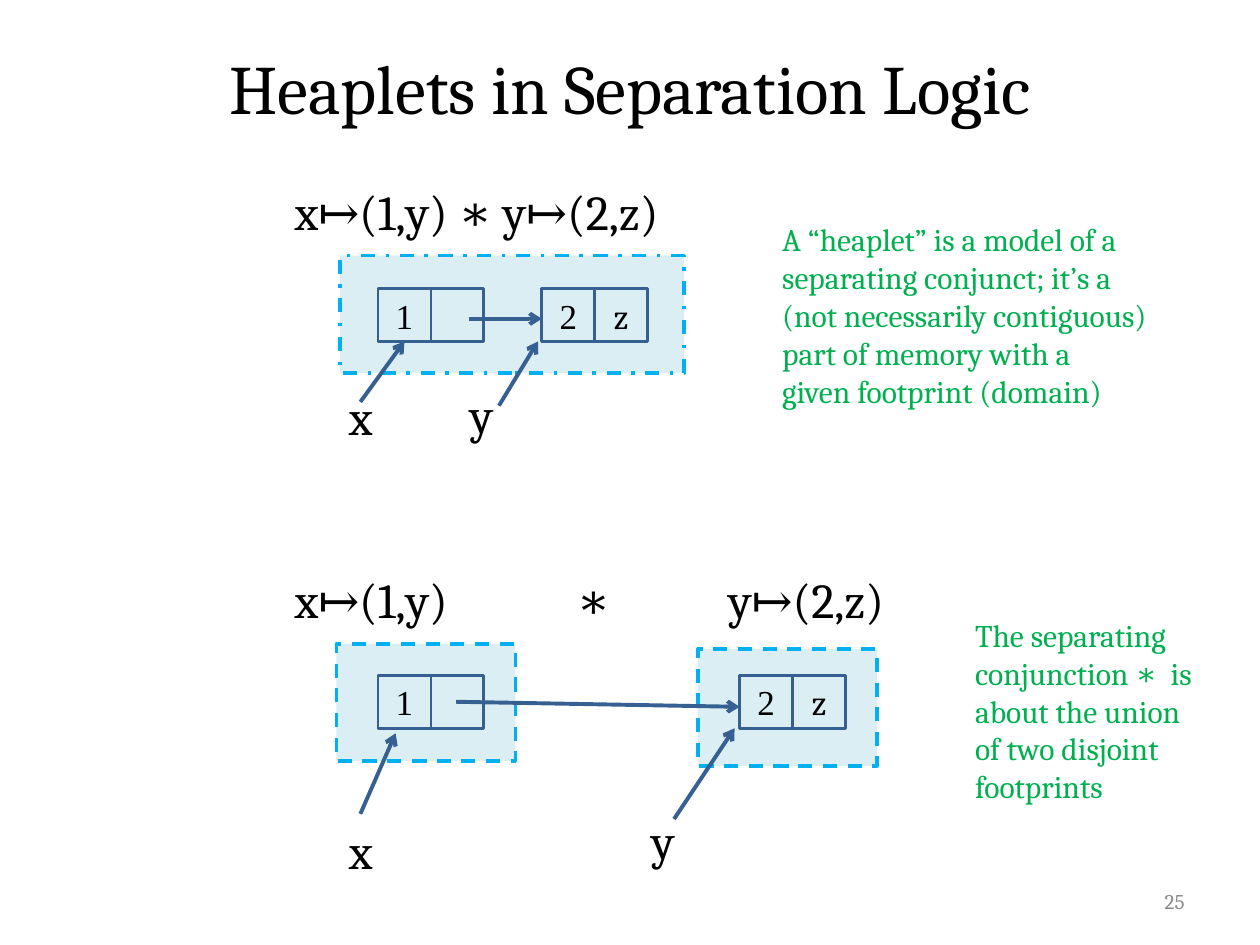
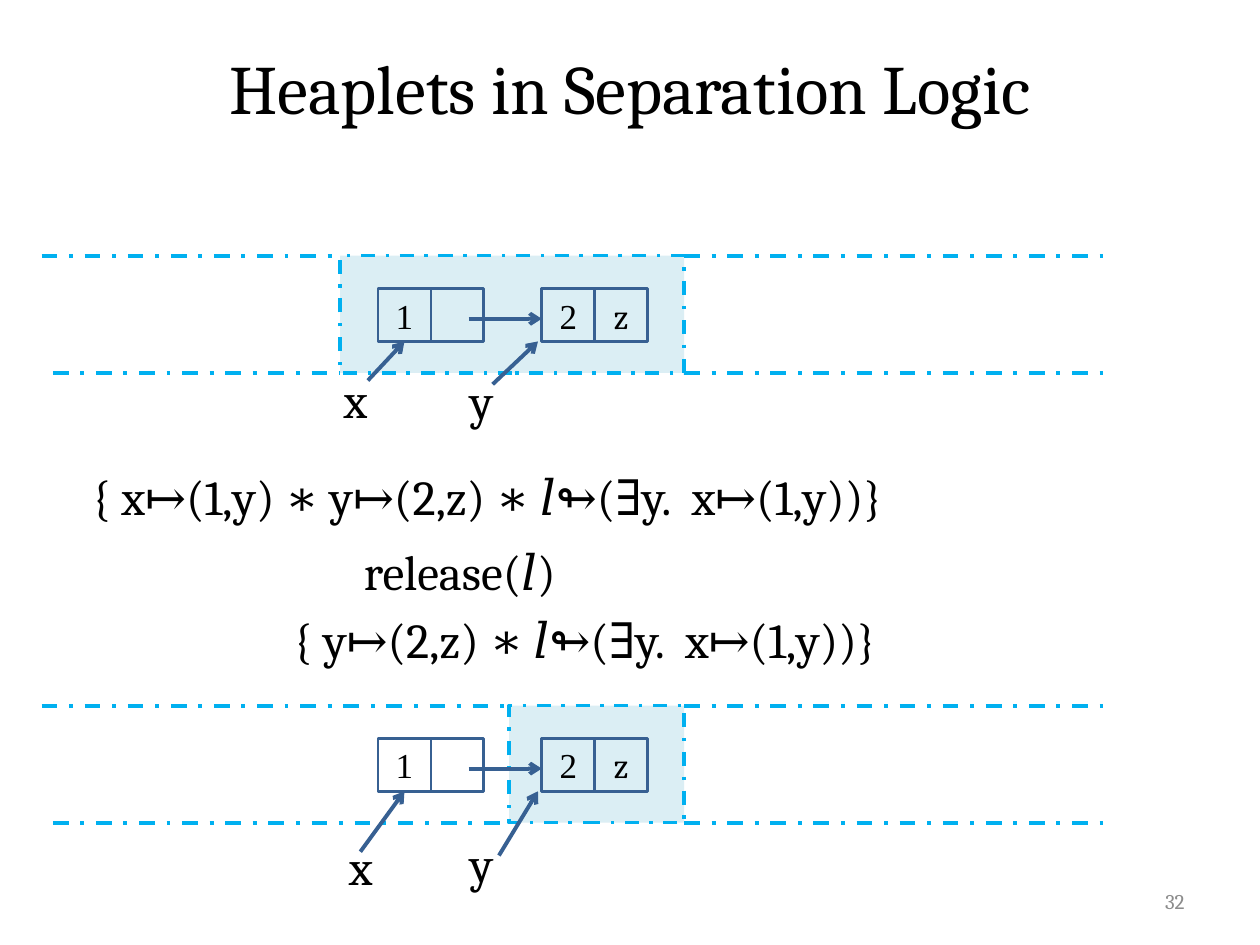
import pptx
import pptx.dml.color
import pptx.enum.dml
import pptx.enum.shapes
import pptx.enum.text
import pptx.oxml
import pptx.oxml.ns
import pptx.util
from pptx.util import Inches

BLACK, GREY, GREEN = "000000", "8C8C8C", "00B050"
CELL_BLUE, HEAPLET_BLUE, HEAPLET_FILL = "376092", "00B0F0", "DBEEF4"
SERIF, DIGITS = "Cambria", "Times New Roman"
DASH = pptx.enum.dml.MSO_LINE.DASH
DASH_DOT = pptx.enum.dml.MSO_LINE.DASH_DOT
ALIGN = pptx.enum.text.PP_ALIGN
MIDDLE = pptx.enum.text.MSO_ANCHOR.MIDDLE

CELL = 0.42                    # side of a memory cell
BAND = 0.93                    # height of a heaplet
STRIP_LEFT, STRIP_RIGHT = (0.33, 0.42), 8.75
X_CELLS, Y_CELLS = 3, 4.3      # left edges of the two linked pairs

# Arrow tail and label of each variable, measured down from the heaplet top
FAR = {"x": ((2.86, 1.16), (2.67, 0.99)), "y": ((3.96, 1.19), (3.63, 0.97))}
NEAR = {"x": ((2.92, 0.99), (2.63, 0.85)), "y": ((3.91, 1.02), (3.63, 0.86))}


def colour(value):
    return pptx.dml.color.RGBColor.from_string(value)


def add_xml(parent, tag, **attributes):
    element = pptx.oxml.parse_xml(f"<a:{tag} {pptx.oxml.ns.nsdecls('a')}/>")
    for name, value in attributes.items():
        element.set(name, str(value))
    parent.append(element)
    return element


class Deck:
    def __init__(self):
        self.prs = pptx.Presentation()
        self.prs.slide_width, self.prs.slide_height = Inches(10), Inches(7.5)
        self.slide = None

    def new_slide(self, title, number):
        self.slide = self.prs.slides.add_slide(self.prs.slide_layouts[6])
        self.text(0.5, 0.3, 9, 0.78, [title], 39.6, align=ALIGN.CENTER, anchor=MIDDLE)
        self.text(7.17, 6.95, 2.33, 0.4, [number], 12, GREY, ALIGN.RIGHT, MIDDLE)

    def set_lines(self, frame, lines, size, ink=BLACK, align=ALIGN.LEFT,
                  font=SERIF, tabs=()):
        for index, line in enumerate(lines):
            paragraph = frame.add_paragraph() if index else frame.paragraphs[0]
            paragraph.text = line
            paragraph.alignment = align
            if tabs:
                stops = add_xml(paragraph._p.get_or_add_pPr(), "tabLst")
                for stop in tabs:
                    add_xml(stops, "tab", pos=Inches(stop), algn="l")
            paragraph.font.size = pptx.util.Pt(size)
            paragraph.font.name = font
            paragraph.font.color.rgb = colour(ink)

    def text(self, left, top, width, height, lines, size, ink=BLACK,
             align=ALIGN.LEFT, anchor=None, wrap=True, tabs=()):
        box = self.slide.shapes.add_textbox(
            Inches(left), Inches(top), Inches(width), Inches(height))
        box.text_frame.word_wrap = wrap
        if anchor is not None:
            box.text_frame.vertical_anchor = anchor
        self.set_lines(box.text_frame, lines, size, ink, align, tabs=tabs)

    def formula(self, left, top, width, content, tabs=()):
        self.text(left, top, width, 0.57, [content], 28, wrap=False, tabs=tabs)

    def remark(self, left, top, width, lines):
        self.text(left, top, width, 1.62, lines, 18, GREEN, wrap=False)

    def rectangle(self, left, top, width, height, line, weight, fill=None, dash=None):
        shape = self.slide.shapes.add_shape(
            pptx.enum.shapes.MSO_SHAPE.RECTANGLE,
            Inches(left), Inches(top), Inches(width), Inches(height))
        shape.shadow.inherit = False
        if fill:
            shape.fill.solid()
            shape.fill.fore_color.rgb = colour(fill)
        else:
            shape.fill.background()
        shape.line.color.rgb = colour(line)
        shape.line.width = pptx.util.Pt(weight)
        if dash:
            shape.line.dash_style = dash
        return shape

    def heaplet(self, left, top, width, dash=DASH_DOT):
        self.rectangle(left, top, width, BAND, HEAPLET_BLUE, 2, HEAPLET_FILL, dash)

    def cells(self, left, top, values):
        """Draw adjoining memory cells and return the first."""
        drawn = []
        for index, value in enumerate(values):
            cell = self.rectangle(left + index * CELL, top, CELL, CELL, CELL_BLUE, 1.5)
            frame = cell.text_frame
            frame.margin_left = frame.margin_right = 0
            frame.margin_top = frame.margin_bottom = 0
            frame.word_wrap = False
            frame.vertical_anchor = MIDDLE
            if value:
                font = DIGITS if value.isdigit() else SERIF
                self.set_lines(frame, [value], 20, align=ALIGN.CENTER, font=font)
            drawn.append(cell)
        return drawn[0]

    def line(self, start, end, ink, dash=None):
        connector = self.slide.shapes.add_connector(
            pptx.enum.shapes.MSO_CONNECTOR.STRAIGHT,
            *(Inches(value) for value in (*start, *end)))
        connector.line.color.rgb = colour(ink)
        connector.line.width = pptx.util.Pt(2.25)
        if dash:
            connector.line.dash_style = dash
        add_xml(connector._element.spPr, "effectLst")
        return connector

    def arrow(self, start, end):
        connector = self.line(start, end, CELL_BLUE)
        add_xml(connector._element.spPr.get_or_add_ln(), "tailEnd", type="arrow")
        return connector

    def variable(self, name, left, top):
        self.formula(left, top, 0.4, name)

    def linked_pairs(self, top, places):
        """Draw x and y pointing at their pairs, in a heaplet starting at top."""
        row = top + 0.26
        x_cell = self.cells(X_CELLS, row, ["1", ""])
        self.cells(Y_CELLS, row, ["2", "z"])
        self.arrow((3.72, row + 0.24), (Y_CELLS, row + 0.24))
        targets = {"x": (3.21, row + CELL), "y": (4.27, row + CELL)}
        for name, ((tail_x, tail_y), (left, offset)) in places.items():
            pointer = self.arrow((tail_x, top + tail_y), targets[name])
            if name == "x":
                pointer.end_connect(x_cell, 2)
            self.variable(name, left, top + offset)

    def memory_strip(self, top, left, right):
        """Extend the heaplet edges to both sides as open memory."""
        for edge, strip_left in zip((top, top + BAND), STRIP_LEFT):
            for start, end in ((right, STRIP_RIGHT), (strip_left, left)):
                self.line((start, edge), (end, edge), HEAPLET_BLUE, DASH_DOT)


def heaplet_definition(deck):
    deck.new_slide("Heaplets in Separation Logic", "25")

    # One heaplet for the whole formula
    deck.heaplet(2.7, 2.03, 2.73)
    deck.linked_pairs(2.03, FAR)
    deck.formula(2.24, 1.39, 3.35, "x↦(1,y) ∗ y↦(2,z)")
    deck.remark(6.11, 1.7, 3.27, [
        "A “heaplet” is a model of a", "separating conjunct; it’s a",
        "(not necessarily contiguous)", "part of memory with a",
        "given footprint (domain)"])

    # One heaplet for each conjunct
    deck.heaplet(5.54, 5.15, 1.42, DASH)
    deck.heaplet(2.67, 5.11, 1.42, DASH)
    deck.formula(2.24, 4.47, 5.15, "x↦(1,y)\t∗\ty↦(2,z)", tabs=(2.24, 3.44))
    deck.cells(X_CELLS, 5.36, ["1", ""])
    deck.cells(5.87, 5.36, ["2", "z"])
    deck.arrow((3.62, 5.57), (5.87, 5.61))
    deck.arrow((2.86, 6.46), (3.14, 5.82))
    deck.arrow((5.35, 6.5), (5.83, 5.78))
    deck.variable("x", 2.67, 6.46)
    deck.variable("y", 5.07, 6.38)
    deck.remark(7.64, 4.84, 1.94, [
        "The separating", "conjunction ∗  is", "about the union",
        "of two disjoint", "footprints"])


def lock_release(deck):
    deck.new_slide("Heaplets in Separation Logic", "32")

    # Heaplet before and after the release
    right = 5.43
    for top, left, places in ((2.03, 2.7, NEAR), (5.6, 4.04, FAR)):
        deck.heaplet(left, top, right - left)
        deck.memory_strip(top, left, right)
        deck.linked_pairs(top, places)

    # Precondition, command, postcondition
    deck.formula(0.63, 3.65, 6.81, "{ x↦(1,y) ∗ y↦(2,z) ∗ 𝑙↬(∃y.  x↦(1,y))}")
    deck.formula(2.79, 4.25, 1.85, "release(𝑙)")
    deck.formula(2.23, 4.79, 5.1, "{ y↦(2,z) ∗ 𝑙↬(∃y.  x↦(1,y))}")


def main():
    deck = Deck()
    heaplet_definition(deck)
    lock_release(deck)
    deck.prs.save("out.pptx")


if __name__ == "__main__":
    main()
